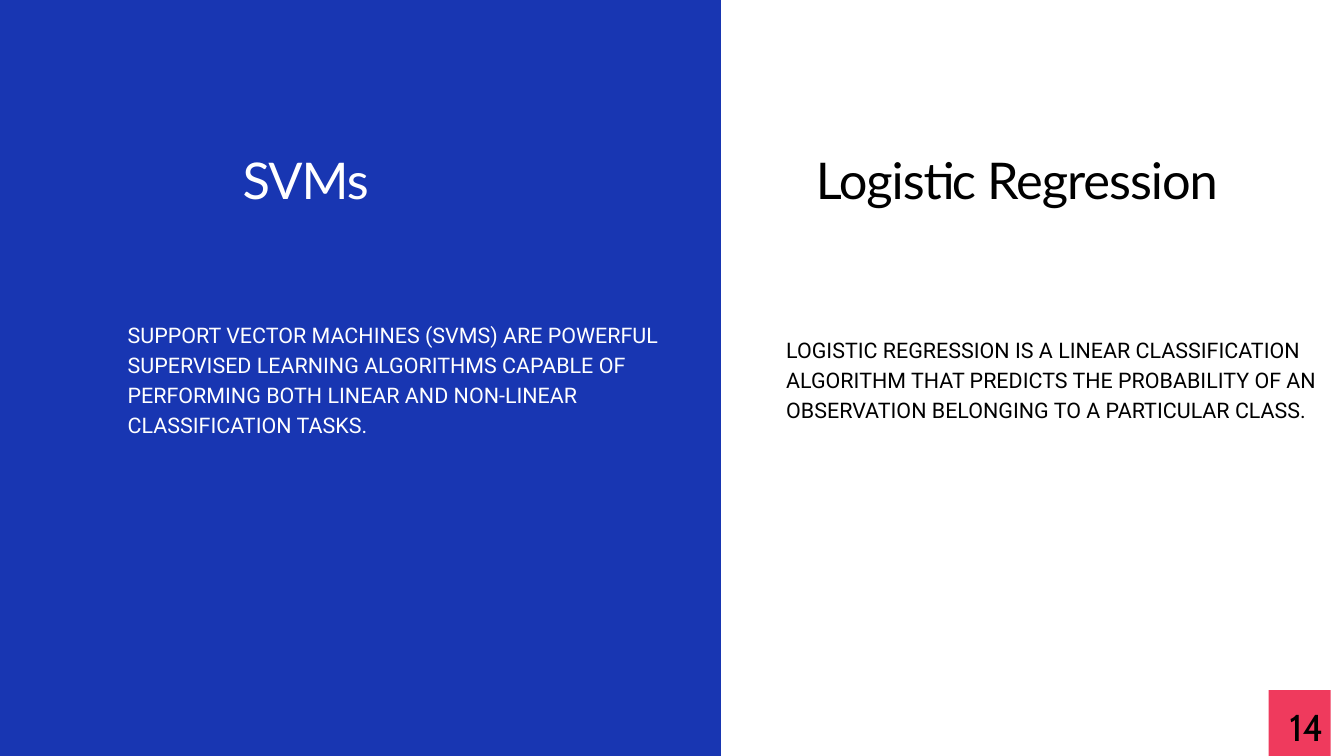
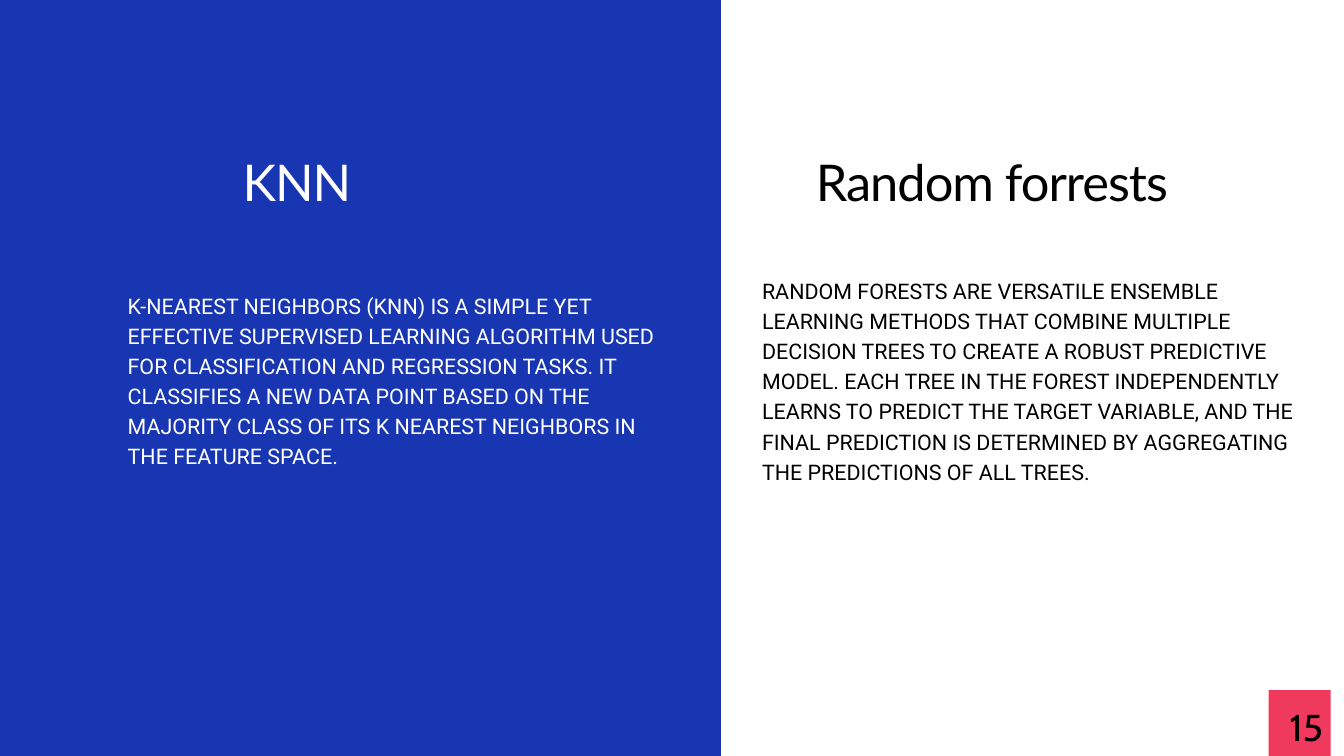
from pptx import Presentation
from pptx import util as u
from pptx.dml.color import RGBColor
from pptx.enum import shapes, text
from pptx.oxml.ns import qn

COLORS = {"panel": "1836B2", "badge": "EF3A5D", "dark": "000000", "light": "FFFFFF"}

STYLES = {
    "heading": {
        "font": {"name": "Lato", "size": u.Pt(54.2), "bold": False},
        "paragraph": {"alignment": text.PP_ALIGN.LEFT, "line_spacing": u.Pt(70.5)},
        "tracking": -110,
    },
    "body": {
        "font": {"name": "Roboto", "size": u.Pt(23)},
        "paragraph": {"alignment": text.PP_ALIGN.LEFT, "line_spacing": u.Pt(32.2)},
    },
    "number": {
        "font": {"name": "Cabin", "size": u.Pt(40)},
        "paragraph": {"alignment": text.PP_ALIGN.CENTER, "line_spacing": u.Pt(56)},
    },
}

FRAME = {
    "margin_left": 0,
    "margin_top": 0,
    "margin_right": 0,
    "margin_bottom": 0,
    "word_wrap": True,
    "auto_size": text.MSO_AUTO_SIZE.NONE,
    "vertical_anchor": text.MSO_ANCHOR.TOP,
}

WIDTH, HEIGHT = 1440, 810
PANEL_WIDTH = 772.56
HEADING_WIDTH, HEADING_HEIGHT = 485.28, 69.84
HEADING_LEFT = {"light": 259.92, "dark": 874.08}
BODY_WIDTH, BODY_LINE, BODY_MIDDLE = 583.2, 31.32, 403.2
BADGE_LEFT, BADGE_TOP, BADGE_WIDTH = 1359.36, 739.44, 66.24
NUMBER_TOP, NUMBER_HEIGHT = 746.64, 53.28

COMPARISONS = [
    {
        "number": 14,
        "heading_top": 154.08,
        "methods": [
            ("light", "SVMs", 136.8, 4,
             "SUPPORT VECTOR MACHINES (SVMS) ARE POWERFUL SUPERVISED LEARNING "
             "ALGORITHMS CAPABLE OF PERFORMING BOTH LINEAR AND NON-LINEAR "
             "CLASSIFICATION TASKS."),
            ("dark", "Logistic Regression", 842.4, 3,
             "LOGISTIC REGRESSION IS A LINEAR CLASSIFICATION ALGORITHM THAT "
             "PREDICTS THE PROBABILITY OF AN OBSERVATION BELONGING TO A "
             "PARTICULAR CLASS."),
        ],
    },
    {
        "number": 15,
        "heading_top": 156.24,
        "methods": [
            ("light", "KNN", 136.8, 6,
             "K-NEAREST NEIGHBORS (KNN) IS A SIMPLE YET EFFECTIVE SUPERVISED "
             "LEARNING ALGORITHM USED FOR CLASSIFICATION AND REGRESSION TASKS. "
             "IT CLASSIFIES A NEW DATA POINT BASED ON THE MAJORITY CLASS OF ITS "
             "K NEAREST NEIGHBORS IN THE FEATURE SPACE."),
            ("dark", "Random forrests", 816.48, 7,
             "RANDOM FORESTS ARE VERSATILE ENSEMBLE LEARNING METHODS THAT "
             "COMBINE MULTIPLE DECISION TREES TO CREATE A ROBUST PREDICTIVE "
             "MODEL. EACH TREE IN THE FOREST INDEPENDENTLY LEARNS TO PREDICT THE "
             "TARGET VARIABLE, AND THE FINAL PREDICTION IS DETERMINED BY "
             "AGGREGATING THE PREDICTIONS OF ALL TREES."),
        ],
    },
]


def apply(target, values):
    for name, value in values.items():
        setattr(target, name, value)


class Deck:
    def __init__(self):
        self.prs = Presentation()
        apply(self.prs, {"slide_width": u.Pt(WIDTH), "slide_height": u.Pt(HEIGHT)})
        self.slide = None

    def add_slide(self):
        self.slide = self.prs.slides.add_slide(self.prs.slide_layouts[5])

    def block(self, color, left, top, width, height):
        block = self.slide.shapes.add_shape(
            shapes.MSO_SHAPE.RECTANGLE, *map(u.Pt, (left, top, width, height)))
        block.shadow.inherit = False
        block.fill.solid()
        block.fill.fore_color.rgb = RGBColor.from_string(COLORS[color])
        block.line.fill.background()
        return block

    def set_words(self, holder, words, style, color):
        look = STYLES[style]
        apply(holder.text_frame, FRAME)
        paragraph = holder.text_frame.paragraphs[0]
        apply(paragraph, look["paragraph"])
        run = paragraph.add_run()
        run.text = words
        apply(run.font, look["font"])
        run.font.color.rgb = RGBColor.from_string(COLORS[color])
        if "tracking" in look:
            for properties in holder.element.iter(qn("a:rPr")):
                properties.set("spc", str(look["tracking"]))

    def label(self, words, style, color, left, top, width, height):
        box = self.slide.shapes.add_textbox(*map(u.Pt, (left, top, width, height)))
        self.set_words(box, words, style, color)

    def title(self, words, color, left, top, behind):
        heading = self.slide.shapes.title
        apply(heading, {"left": u.Pt(left), "top": u.Pt(top),
                        "width": u.Pt(HEADING_WIDTH), "height": u.Pt(HEADING_HEIGHT)})
        behind.element.addnext(heading.element)
        self.set_words(heading, words, "heading", color)

    def body(self, words, color, left, lines):
        height = lines * BODY_LINE
        self.label(words, "body", color, left, BODY_MIDDLE - height / 2, BODY_WIDTH, height)

    def page_badge(self, number):
        self.block("badge", BADGE_LEFT, BADGE_TOP, BADGE_WIDTH, HEIGHT - BADGE_TOP)
        self.label(str(number), "number", "dark", BADGE_LEFT, NUMBER_TOP,
                   WIDTH - BADGE_LEFT, NUMBER_HEIGHT)

    def comparison(self, number, heading_top, methods):
        self.add_slide()
        panel = self.block("panel", 0, 0, PANEL_WIDTH, HEIGHT)
        for color, name, body_left, lines, description in methods:
            left = HEADING_LEFT[color]
            if color == "light":
                self.title(name, color, left, heading_top, panel)
            else:
                self.label(name, "heading", color, left, heading_top,
                           HEADING_WIDTH, HEADING_HEIGHT)
            self.body(description, color, body_left, lines)
        self.page_badge(number)


def main():
    deck = Deck()
    for content in COMPARISONS:
        deck.comparison(**content)
    deck.prs.save("out.pptx")


if __name__ == "__main__":
    main()
